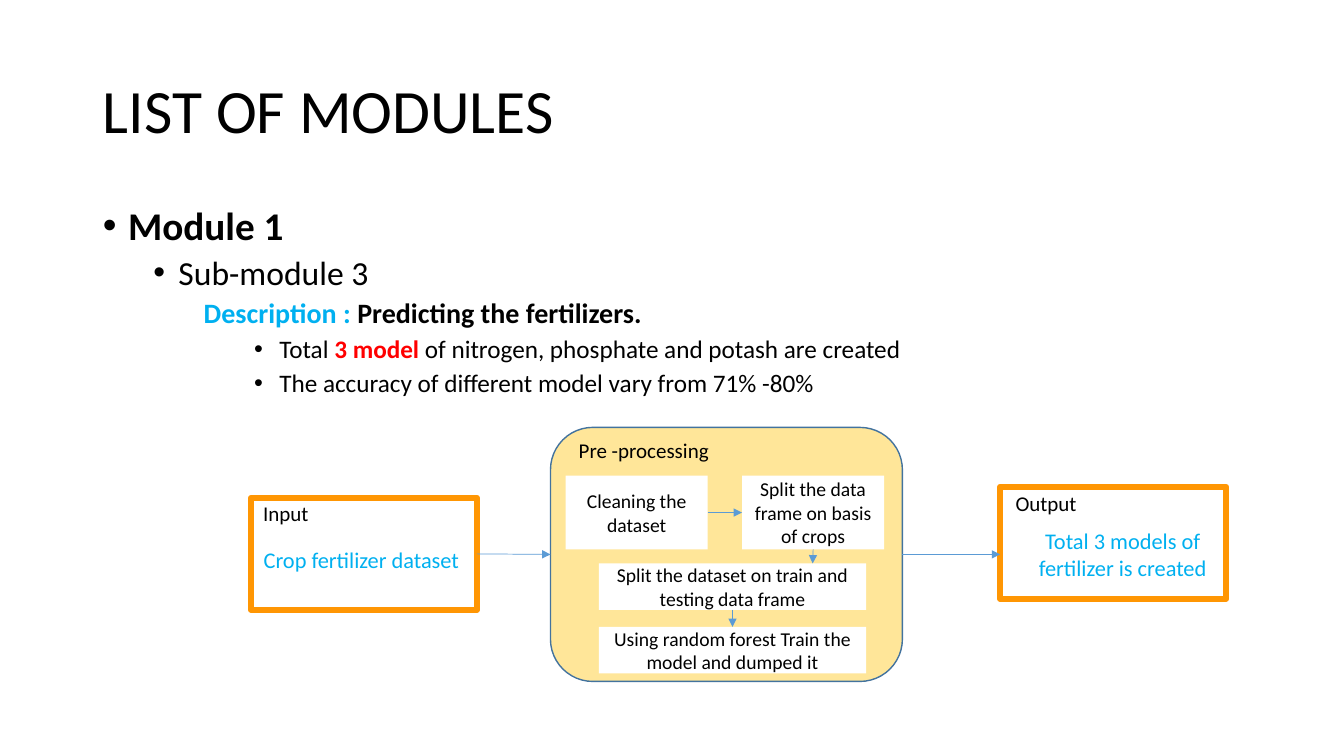
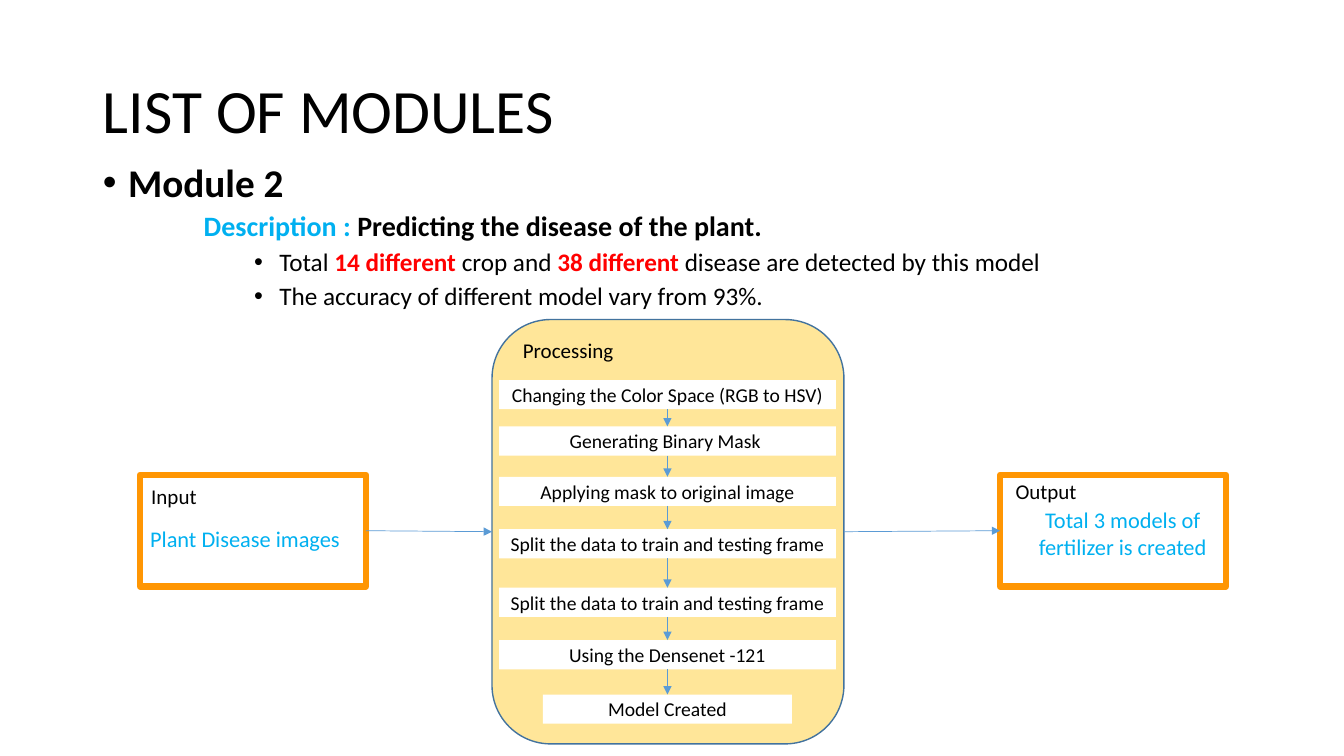
"""Build two slides that describe the modules of a crop prediction project."""
from dataclasses import dataclass
from itertools import pairwise

from pptx import Presentation
from pptx.dml.color import RGBColor
from pptx.enum.shapes import MSO_CONNECTOR, MSO_SHAPE
from pptx.enum.text import MSO_ANCHOR, MSO_AUTO_SIZE, PP_ALIGN
from pptx.oxml.ns import qn
from pptx.util import Inches, Pt
from lxml.etree import SubElement


@dataclass(frozen=True)
class Theme:
    font: str = "Calibri"
    black: str = "000000"
    white: str = "FFFFFF"
    cyan: str = "00B0F0"
    red: str = "FF0000"
    frame: str = "FF9603"
    panel: str = "FFE699"
    panel_line: str = "43739E"
    arrow: str = "5B9BD5"
    title_size: int = 44
    level_sizes: tuple = (28, 24, 20, 18)
    level_indents: tuple = ((0.25, -0.25), (0.75, -0.25), (1, 0), (1.75, -0.25))
    label_size: int = 15
    caption_size: int = 16
    step_size: int = 14


THEME = Theme()
TOP, LEFT, BOTTOM, RIGHT = range(4)
FRAME_SIZE = (2.24, 1.11)
LABEL_SIZE = (1.57, 0.61)
CAPTION_SIZE = (2.43, 0.61)


def place(sp, box):
    sp.left, sp.top, sp.width, sp.height = map(Inches, box)


def add_run(p, text, size, color=THEME.black, bold=False):
    r = p.add_run()
    r.text = text
    r.font.name = THEME.font
    r.font.size = Pt(size)
    r.font.bold = bold
    r.font.color.rgb = RGBColor.from_string(color)


def center_text(sp, text, size, color=THEME.black):
    tf = sp.text_frame
    tf.word_wrap = True
    tf.vertical_anchor = MSO_ANCHOR.MIDDLE
    p = tf.paragraphs[0]
    p.alignment = PP_ALIGN.CENTER
    add_run(p, text, size, color)


def add_text(slide, box, text, size, color=THEME.black):
    center_text(slide.shapes.add_textbox(*map(Inches, box)), text, size, color)


def add_box(slide, box, fill=None, line=None, width=1, kind=MSO_SHAPE.RECTANGLE):
    sp = slide.shapes.add_shape(kind, *map(Inches, box))
    sp.shadow.inherit = False
    if fill:
        sp.fill.solid()
        sp.fill.fore_color.rgb = RGBColor.from_string(fill)
    else:
        sp.fill.background()
    if line:
        sp.line.color.rgb = RGBColor.from_string(line)
        sp.line.width = Pt(width)
    else:
        sp.line.fill.background()
    return sp


def add_step(slide, box, text, inset=None):
    sp = add_box(slide, box, fill=THEME.white)
    center_text(sp, text, THEME.step_size)
    if inset is not None:
        tf = sp.text_frame
        tf.margin_left = tf.margin_right = tf.margin_top = tf.margin_bottom = Inches(inset)
    return sp


def add_panel(slide, box, label, label_at):
    panel = add_box(slide, box, THEME.panel, THEME.panel_line, kind=MSO_SHAPE.ROUNDED_RECTANGLE)
    add_text(slide, label_at + LABEL_SIZE, label, THEME.label_size)
    return panel


def add_frame(slide, at, label, label_at, caption, caption_at):
    frame = add_box(slide, at + FRAME_SIZE, line=THEME.frame, width=4.5)
    add_text(slide, label_at + LABEL_SIZE, label, THEME.label_size)
    add_text(slide, caption_at + CAPTION_SIZE, caption, THEME.caption_size, THEME.cyan)
    return frame


def add_arrow(slide, start, start_side, end, end_side=None):
    """Join two shapes, or a shape and an (x, y) point when end_side is None."""
    x, y = (0, 0) if end_side is not None else map(Inches, end)
    line = slide.shapes.add_connector(MSO_CONNECTOR.STRAIGHT, 0, 0, x, y)
    line.begin_connect(start, start_side)
    if end_side is not None:
        line.end_connect(end, end_side)
    line.line.color.rgb = RGBColor.from_string(THEME.arrow)
    line.line.width = Pt(0.5)
    SubElement(line.line._get_or_add_ln(), qn("a:tailEnd"), type="triangle")
    SubElement(line._element.spPr, qn("a:effectLst"))


def set_bullet(p, level):
    margin, indent = THEME.level_indents[level]
    pPr = p._p.get_or_add_pPr()
    pPr.set("marL", str(Inches(margin)))
    pPr.set("indent", str(Inches(indent)))
    if indent:
        SubElement(pPr, qn("a:buFont"), typeface="Arial")
        SubElement(pPr, qn("a:buChar"), char="•")
    else:
        SubElement(pPr, qn("a:buNone"))


def add_slide(prs, body_top, outline):
    """Add a titled slide whose outline is a list of (level, runs)."""
    slide = prs.slides.add_slide(prs.slide_layouts[1])
    title, body = slide.shapes.title, slide.placeholders[1]
    place(title, (0.92, 0.4, 11.5, 1.45))
    place(body, (0.92, body_top, 11.5, 4.76))
    for sp, anchor in ((title, MSO_ANCHOR.MIDDLE), (body, MSO_ANCHOR.TOP)):
        sp.text_frame.word_wrap = True
        sp.text_frame.auto_size = MSO_AUTO_SIZE.NONE
        sp.text_frame.vertical_anchor = anchor
    p = title.text_frame.paragraphs[0]
    p.alignment = PP_ALIGN.LEFT
    p.line_spacing = 0.9
    add_run(p, "LIST OF MODULES", THEME.title_size)
    tf = body.text_frame
    for i, (level, runs) in enumerate(outline):
        p = tf.add_paragraph() if i else tf.paragraphs[0]
        p.level = level
        p.line_spacing = 0.9
        p.space_before = Pt(5 if level else 10)
        set_bullet(p, level)
        for text, *style in runs:
            add_run(p, text, THEME.level_sizes[level], *style)
    return slide


def description(text):
    return 2, [("Description : ", THEME.cyan, True), (text, THEME.black, True)]


def build_fertilizer(prs):
    slide = add_slide(prs, 2, [
        (0, [("Module 1", THEME.black, True)]),
        (1, [("Sub-module 3",)]),
        description("Predicting the fertilizers."),
        (3, [("Total ",), ("3 model ", THEME.red, True),
             ("of nitrogen, phosphate and potash are created",)]),
        (3, [("The accuracy of different model vary from 71% -80%",)]),
    ])
    source = add_frame(slide, (2.49, 4.94), "Input", (2.05, 4.79),
                       "Crop fertilizer dataset", (2.37, 5.25))
    add_frame(slide, (9.92, 4.83), "Output", (9.59, 4.69),
              "Total 3 models of fertilizer is created", (9.92, 5.19))
    panel = add_panel(slide, (5.46, 4.24, 3.49, 2.52), "Pre -processing", (5.6, 4.16))
    clean, crops, split, train = [add_step(slide, box, text) for box, text in (
        ((5.61, 4.72, 1.41, 0.73), "Cleaning the dataset"),
        ((7.36, 4.72, 1.41, 0.73), "Split the data frame on basis of crops"),
        ((5.94, 5.59, 2.65, 0.46), "Split the dataset on train and testing data frame"),
        ((5.94, 6.22, 2.65, 0.46), "Using random forest Train the model and dumped it"),
    )]
    add_arrow(slide, clean, RIGHT, crops, LEFT)
    add_arrow(slide, crops, BOTTOM, (8.06, 5.59))
    add_arrow(slide, split, BOTTOM, train, TOP)
    add_arrow(slide, source, RIGHT, panel, LEFT)
    add_arrow(slide, panel, RIGHT, (9.92, 5.5))


def build_disease(prs):
    slide = add_slide(prs, 1.57, [
        (0, [("Module 2", THEME.black, True)]),
        description("Predicting the disease of the plant."),
        (3, [("Total ",), ("14 different ", THEME.red, True), ("crop and ",),
             ("38 different ", THEME.red, True), ("disease are detected by this model",)]),
        (3, [("The accuracy of different model vary from 93%.",)]),
    ])
    source = add_frame(slide, (1.39, 4.71), "Input", (0.94, 4.62),
                       "Plant Disease images ", (1.24, 5.04))
    result = add_frame(slide, (9.92, 4.71), "Output", (9.59, 4.57),
                       "Total 3 models of fertilizer is created", (9.92, 4.98))
    panel = add_panel(slide, (4.88, 3.17, 3.49, 4.21), "Processing", (4.85, 3.17))
    center = 6.62
    steps = [add_step(slide, (center - width / 2, top, width, 0.29), text, inset=0)
             for top, width, text in (
        (3.77, 3.34, "Changing the Color Space (RGB to HSV)"),
        (4.23, 3.34, "Generating Binary Mask "),
        (4.73, 3.34, "Applying mask to original image"),
        (5.25, 3.34, "Split the data to train and testing frame"),
        (5.83, 3.34, "Split the data to train and testing frame"),
        (6.35, 3.34, "Using the Densenet -121"),
        (6.89, 2.47, "Model Created"),
    )]
    for upper, lower in pairwise(steps):
        add_arrow(slide, upper, BOTTOM, lower, TOP)
    add_arrow(slide, source, RIGHT, panel, LEFT)
    add_arrow(slide, panel, RIGHT, result, LEFT)


def main():
    prs = Presentation()
    prs.slide_width, prs.slide_height = Inches(13.33), Inches(7.5)
    build_fertilizer(prs)
    build_disease(prs)
    prs.save("out.pptx")


if __name__ == "__main__":
    main()
